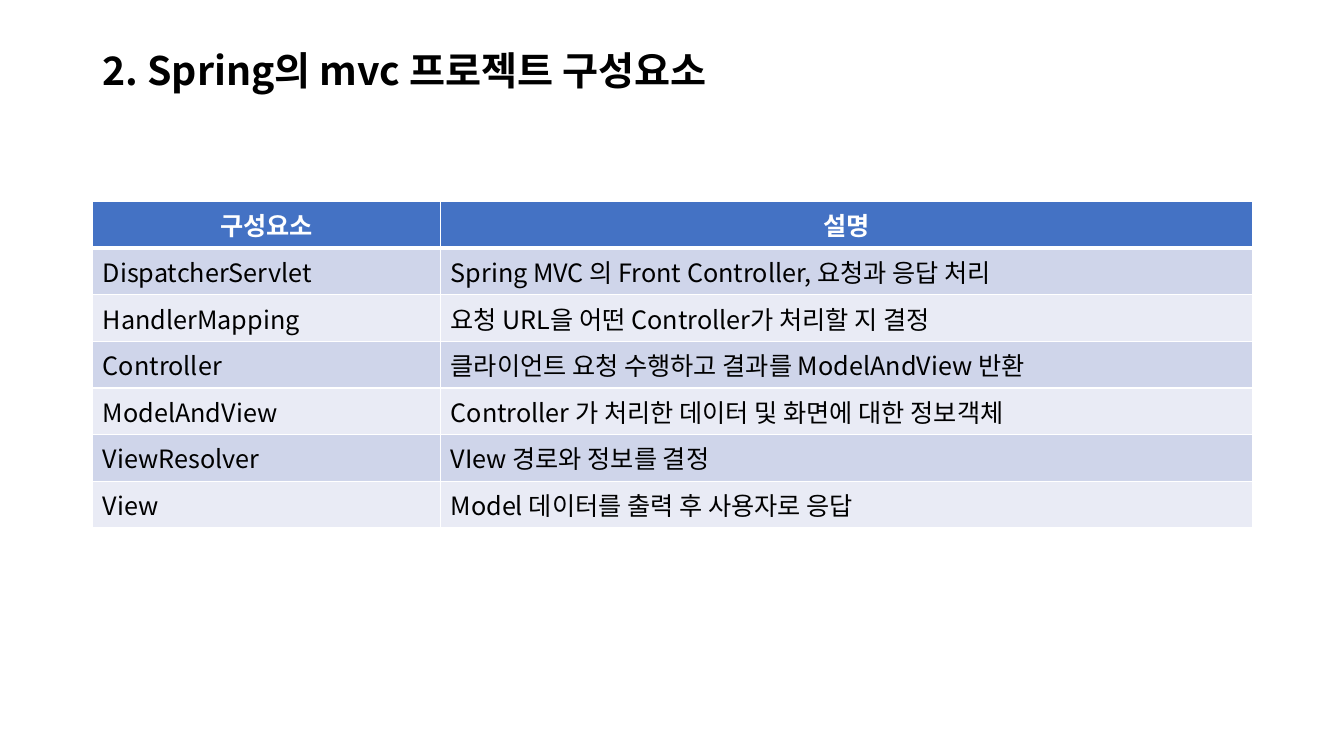
import pptx
import pptx.dml.color
import pptx.enum.text
import pptx.oxml.ns
import pptx.util
from lxml import etree

Inches = pptx.util.Inches
Pt = pptx.util.Pt
RGBColor = pptx.dml.color.RGBColor
Align = pptx.enum.text.PP_ALIGN
Anchor = pptx.enum.text.MSO_ANCHOR
qn = pptx.oxml.ns.qn

TITLE = "2. Spring의 mvc 프로젝트 구성요소"
HEADER = ("구성요소", "설명")
COMPONENTS = [
    ("DispatcherServlet", "Spring MVC 의 Front Controller, 요청과 응답 처리"),
    ("HandlerMapping", "요청 URL을 어떤 Controller가 처리할 지 결정"),
    ("Controller", "클라이언트 요청 수행하고 결과를 ModelAndView 반환"),
    ("ModelAndView", "Controller 가 처리한 데이터 및 화면에 대한 정보객체"),
    ("ViewResolver", "VIew 경로와 정보를 결정"),
    ("View", "Model 데이터를 출력 후 사용자로 응답"),
]

FONT = "Noto Sans CJK KR"
BLACK = RGBColor(0x00, 0x00, 0x00)
WHITE = RGBColor(0xFF, 0xFF, 0xFF)
HEADER_BLUE = RGBColor(0x44, 0x72, 0xC4)
BANDS = (RGBColor(0xCF, 0xD5, 0xEA), RGBColor(0xE9, 0xEB, 0xF5))

LEFT, WIDTH = 0.92, 11.5
COLUMN_WIDTHS = (3.45, 8.05)
ROW_HEIGHT = 0.41


def add_run(paragraph, text, size, color, bold):
    run = paragraph.add_run()
    run.text = text
    run.font.size = Pt(size)
    run.font.bold = bold
    run.font.color.rgb = color
    run.font.name = FONT
    east_asian = etree.SubElement(run.font._element, qn("a:ea"))
    east_asian.set("typeface", FONT)


def add_borders(cell, bottom, top):
    """Draw white cell edges; must run before the cell is filled."""
    properties = cell._tc.get_or_add_tcPr()
    for side, width in (("L", 1), ("R", 1), ("T", top), ("B", bottom)):
        line = etree.SubElement(properties, qn("a:ln" + side), w=str(Pt(width)))
        fill = etree.SubElement(line, qn("a:solidFill"))
        etree.SubElement(fill, qn("a:srgbClr"), val=str(WHITE))


def add_title(slide):
    title = slide.shapes.title
    title.left, title.top = Inches(LEFT), Inches(0.4)
    title.width, title.height = Inches(WIDTH), Inches(0.65)
    frame = title.text_frame
    frame.word_wrap = True
    frame.auto_size = pptx.enum.text.MSO_AUTO_SIZE.NONE
    frame.vertical_anchor = Anchor.MIDDLE
    paragraph = frame.paragraphs[0]
    paragraph.alignment = Align.LEFT
    paragraph.line_spacing = 0.9
    add_run(paragraph, TITLE, 28, BLACK, True)


def add_component_table(slide):
    rows = [HEADER, *COMPONENTS]
    table = slide.shapes.add_table(
        len(rows), len(HEADER), Inches(LEFT), Inches(2),
        Inches(WIDTH), Inches(ROW_HEIGHT * len(rows))).table
    for column, width in zip(table.columns, COLUMN_WIDTHS):
        column.width = Inches(width)
    for r, texts in enumerate(rows):
        is_header = r == 0
        table.rows[r].height = Inches(ROW_HEIGHT)
        for c, text in enumerate(texts):
            cell = table.cell(r, c)
            add_borders(cell, bottom=3 if is_header else 1, top=3 if r == 1 else 1)
            cell.fill.solid()
            cell.fill.fore_color.rgb = HEADER_BLUE if is_header else BANDS[(r - 1) % 2]
            paragraph = cell.text_frame.paragraphs[0]
            paragraph.alignment = Align.CENTER if is_header else Align.LEFT
            add_run(paragraph, text, 18, WHITE if is_header else BLACK, is_header)


def main():
    deck = pptx.Presentation()
    deck.slide_width, deck.slide_height = Inches(13.33), Inches(7.5)
    slide = deck.slides.add_slide(deck.slide_layouts[5])
    add_title(slide)
    add_component_table(slide)
    deck.save("out.pptx")


if __name__ == "__main__":
    main()
